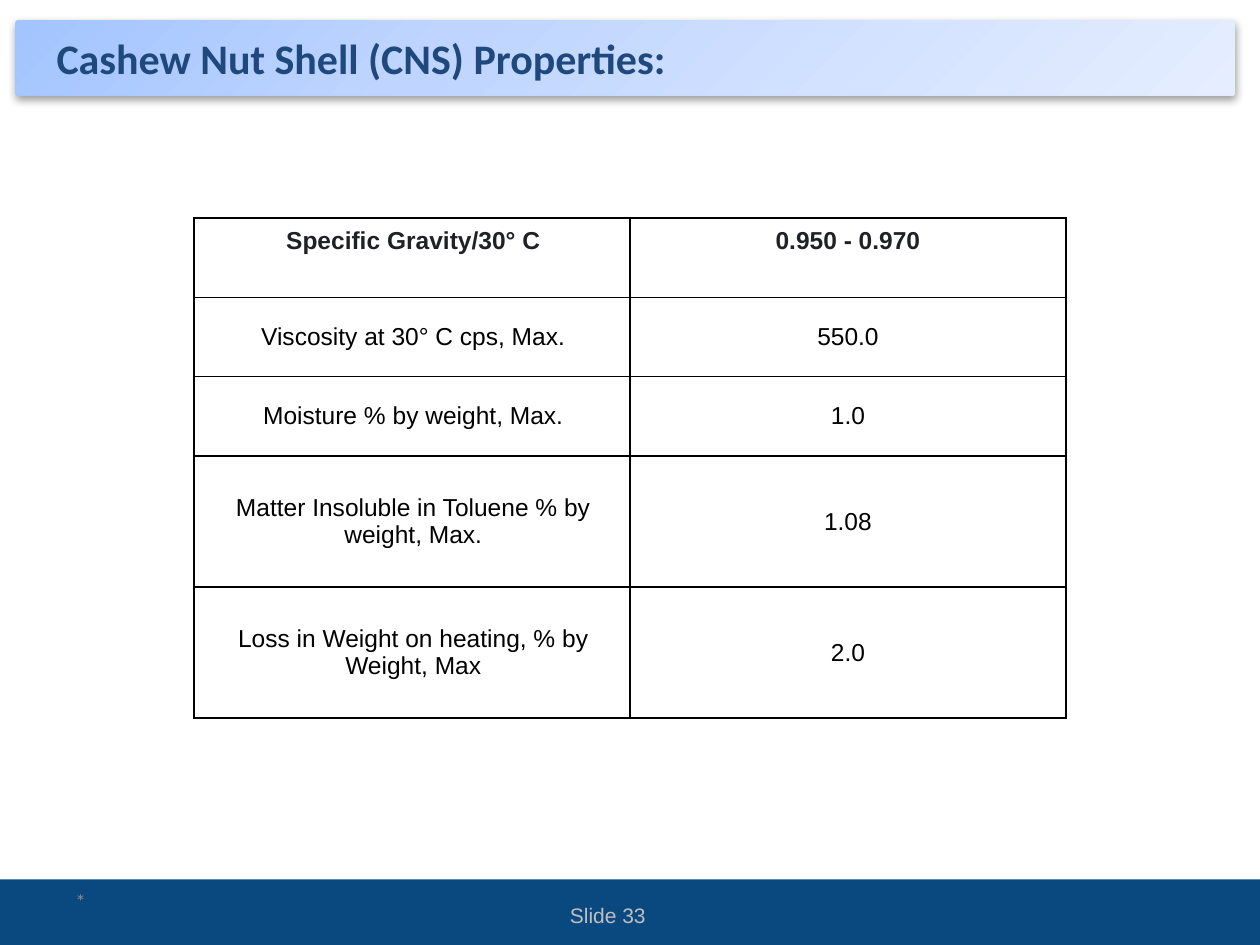
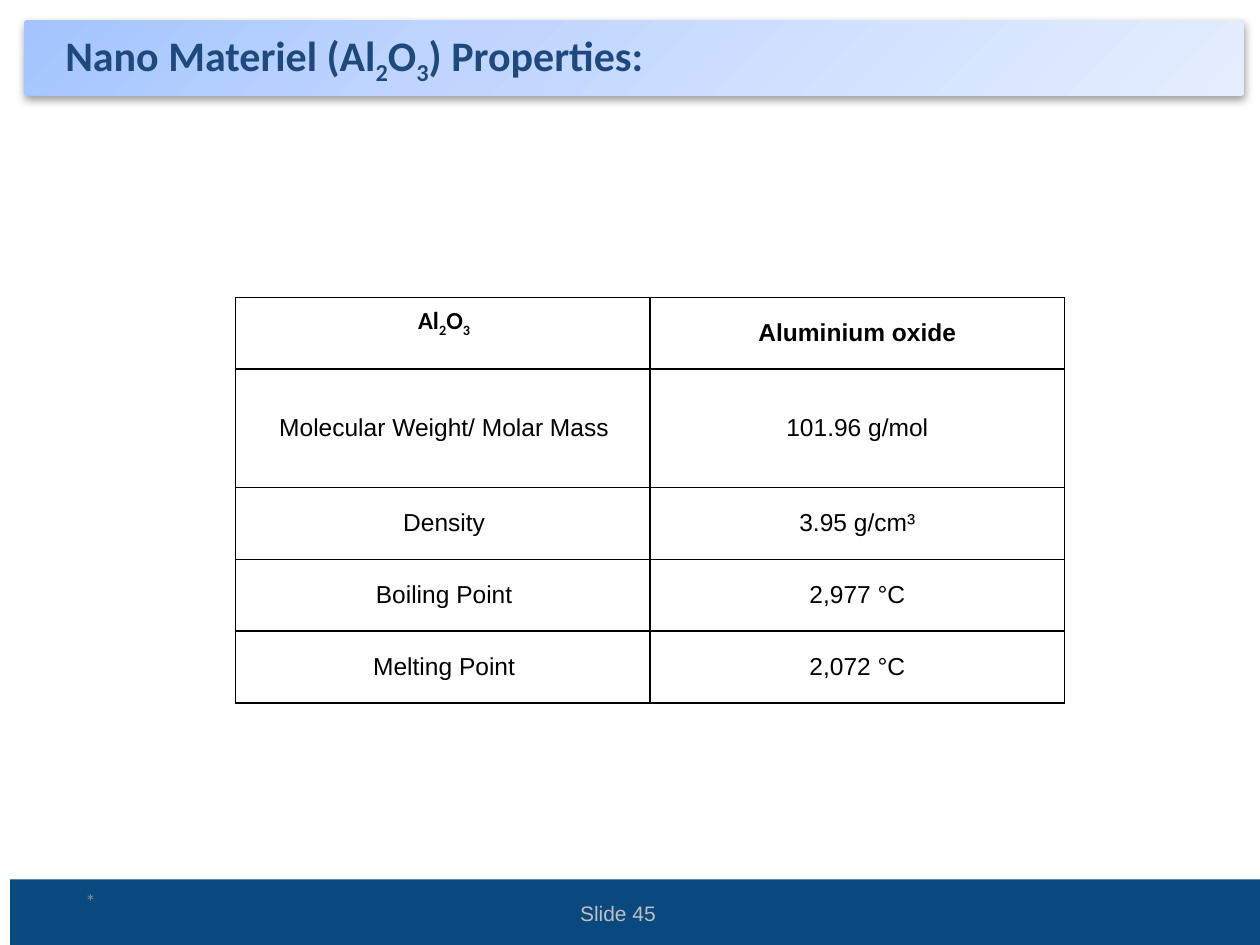
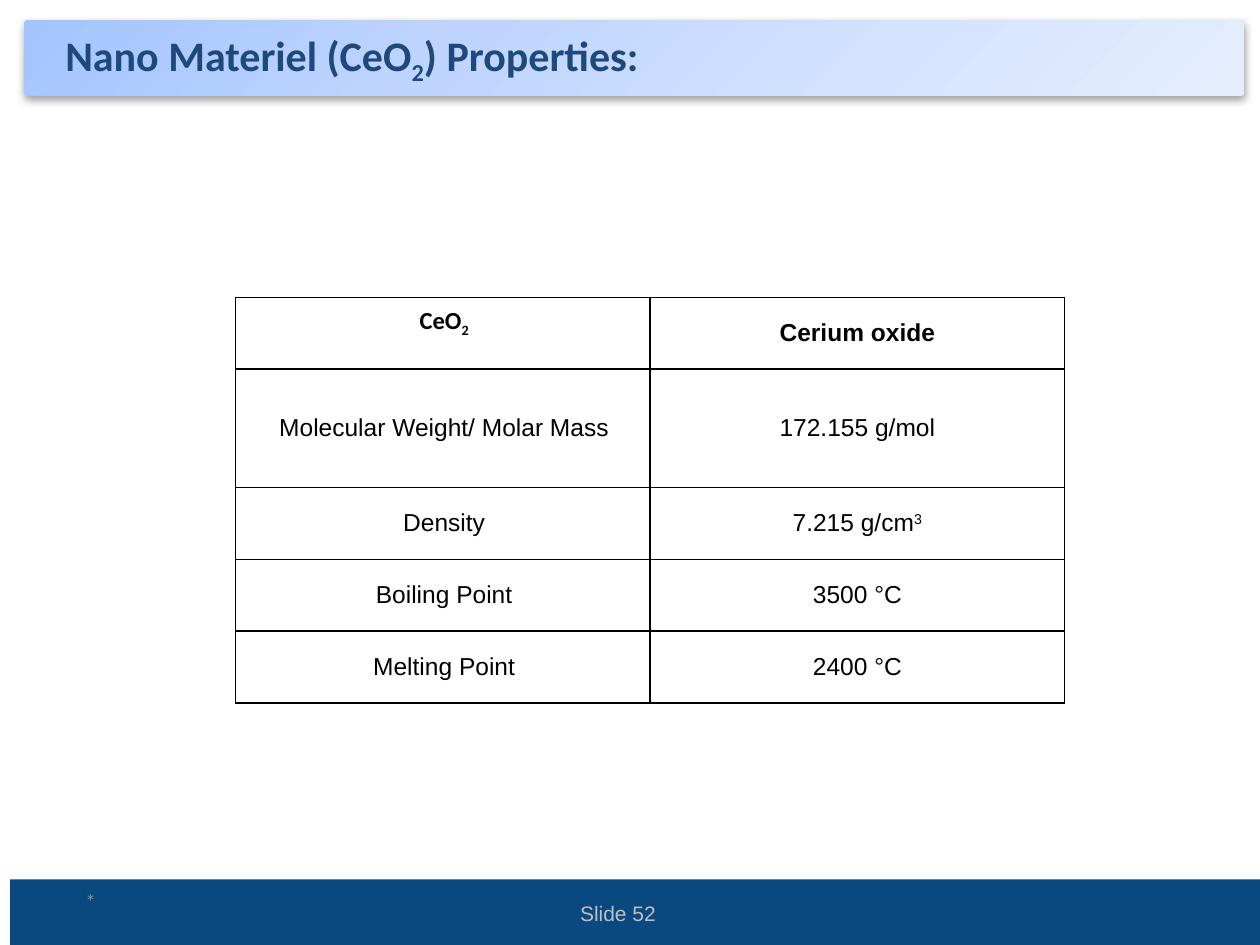
from lxml import etree
from pptx import Presentation
from pptx.dml.color import RGBColor
from pptx.enum.shapes import MSO_SHAPE
from pptx.enum.text import MSO_ANCHOR, PP_ALIGN
from pptx.oxml import parse_xml
from pptx.oxml.ns import qn
from pptx.util import Inches, Pt

MIDDLE, TOP = MSO_ANCHOR.MIDDLE, MSO_ANCHOR.TOP
LEFT, CENTER = PP_ALIGN.LEFT, PP_ALIGN.CENTER
RECT, ROUND = MSO_SHAPE.RECTANGLE, MSO_SHAPE.ROUNDED_RECTANGLE
NS = 'xmlns:a="http://schemas.openxmlformats.org/drawingml/2006/main"'

NAVY, TITLE, PALE, GREY = "0A4880", "1F497D", "BFBFBF", "898989"
BLACK, WHITE, INK = "000000", "FFFFFF", "202124"
STOPS = [(0, "A3C4FF"), (35, "BFD5FF"), (100, "E5EEFF")]
BASE = {"_": -25, "^": 30}

# "|" parts runs; a run that starts with "_" is lowered, with "^" raised.
# Header cells hold text, font, colour and anchor.
OXIDE = {"shift": 0.08, "band": 0.19, "label": 7.05, "at": (1.87, 2.36),
         "col": 3.29, "rows": [0.57, 0.94, 0.57, 0.57, 0.57]}
SLIDES = [
    {"title": "Cashew Nut Shell (CNS) Properties:", "page": "Slide 33",
     "shift": 0, "band": 0.12, "label": 7.06, "at": (1.54, 1.73),
     "col": 3.46, "rows": [0.63, 0.63, 0.63, 1.04, 1.04],
     "head": [("Specific Gravity/30° C", "Arial", INK, TOP),
              ("0.950 - 0.970", "Arial", INK, TOP)],
     "body": [("Viscosity at 30° C cps, Max.", "550.0"),
              ("Moisture % by weight, Max.", "1.0"),
              ("Matter Insoluble in Toluene % by weight, Max.", "1.08"),
              ("Loss in Weight on heating, % by Weight, Max", "2.0")]},
    {**OXIDE, "title": "Nano Materiel (Al|_2|O|_3|) Properties:",
     "page": "Slide 45",
     "head": [("Al|_2|O|_3", "Calibri", BLACK, TOP),
              ("Aluminium oxide", "Arial", BLACK, MIDDLE)],
     "body": [("Molecular Weight/ Molar Mass", "101.96 g/mol"),
              ("Density", "3.95 g/cm³"),
              ("Boiling Point", "2,977 °C"),
              ("Melting Point", "2,072 °C")]},
    {**OXIDE, "title": "Nano Materiel (CeO|_2|) Properties:",
     "page": "Slide 52",
     "head": [("CeO|_2", "Calibri", BLACK, TOP),
              ("Cerium oxide", "Arial", BLACK, MIDDLE)],
     "body": [("Molecular Weight/ Molar Mass", "172.155 g/mol"),
              ("Density", "7.215 g/cm|^3"),
              ("Boiling Point", "3500 °C"),
              ("Melting Point", "2400 °C")]},
]


def paint(fill, color):
    fill.solid()
    fill.fore_color.rgb = RGBColor.from_string(color)


def write(frame, text, size, font, color, bold=False, align=LEFT):
    para = frame.paragraphs[0]
    para.alignment = align
    for part in text.split("|"):
        run = para.add_run()
        base = BASE.get(part[0])
        run.text = part[1:] if base else part
        run.font.size, run.font.name, run.font.bold = Pt(size), font, bold
        run.font.color.rgb = RGBColor.from_string(color)
        if base:
            run.font._element.set("baseline", str(base * 1000))


def add_text(slide, box, *look, **more):
    frame = slide.shapes.add_textbox(*map(Inches, box)).text_frame
    frame.word_wrap = True
    frame.vertical_anchor = MIDDLE
    write(frame, *look, **more)


def add_box(slide, kind, box):
    shape = slide.shapes.add_shape(kind, *map(Inches, box))
    shape.shadow.inherit = False
    shape.line.fill.background()
    return shape


def add_band(slide, left):
    """Title band with a three-stop gradient and a soft shadow."""
    band = add_box(slide, ROUND, (left, 0.16, 9.68, 0.6))
    band.adjustments[0] = 0.04
    band.fill.gradient()
    band.fill.gradient_angle = 315
    stops = band._element.spPr.find(f".//{qn('a:gsLst')}")
    stops[:] = [parse_xml(f'<a:gs {NS} pos="{pos * 1000}"><a:srgbClr val="{color}"/></a:gs>')
                for pos, color in STOPS]
    effects = band._element.spPr.find(qn("a:effectLst"))
    effects.append(parse_xml(
        f'<a:outerShdw {NS} blurRad="{Pt(5)}" dist="{Pt(1.6)}" dir="5400000" '
        f'rotWithShape="0"><a:srgbClr val="{BLACK}"><a:alpha val="38000"/>'
        '</a:srgbClr></a:outerShdw>'))


def add_edges(cell):
    props = cell._tc.get_or_add_tcPr()
    for spot, side in enumerate(("lnL", "lnR", "lnT", "lnB")):
        edge = etree.Element(qn(f"a:{side}"), w=str(Pt(1)))
        fill = etree.SubElement(edge, qn("a:solidFill"))
        etree.SubElement(fill, qn("a:srgbClr"), val=BLACK)
        props.insert(spot, edge)


def add_grid(slide, data):
    rows, col = data["rows"], data["col"]
    box = (*data["at"], 2 * col, sum(rows))
    table = slide.shapes.add_table(len(rows), 2, *map(Inches, box)).table
    table.first_row = table.horz_banding = False
    for column in table.columns:
        column.width = Inches(col)
    body = [[(text, "Arial", BLACK, MIDDLE) for text in row] for row in data["body"]]
    for r, row in enumerate([data["head"]] + body):
        table.rows[r].height = Inches(rows[r])
        for c, (text, font, color, anchor) in enumerate(row):
            cell = table.cell(r, c)
            cell.vertical_anchor = anchor
            cell.margin_left = Inches(0.08 if c else 0.1)
            cell.margin_right = Inches(0.08)
            cell.margin_top = cell.margin_bottom = Inches(0.07)
            paint(cell.fill, WHITE)
            add_edges(cell)
            write(cell.text_frame, text, 14, font, color, bold=r == 0, align=CENTER)


def add_slide(deck, data):
    slide = deck.slides.add_slide(deck.slide_layouts[6])
    shift = data["shift"]
    paint(add_box(slide, RECT, (shift, 6.98, 10, 0.52)).fill, NAVY)
    add_band(slide, data["band"])
    add_text(slide, (data["band"] + 0.23, 0.21, 8.18, 0.5),
             data["title"], 24, "Calibri", TITLE, bold=True)
    add_text(slide, (3.66 + shift, data["label"], 2.33, 0.4),
             data["page"], 12, "Arial", PALE, align=CENTER)
    add_text(slide, (0.5 + shift, 6.95, 2.33, 0.4), "*", 12, "Calibri", GREY)
    add_grid(slide, data)


def main():
    deck = Presentation()
    deck.slide_width, deck.slide_height = Inches(10), Inches(7.5)
    for data in SLIDES:
        add_slide(deck, data)
    deck.save("out.pptx")


if __name__ == "__main__":
    main()
